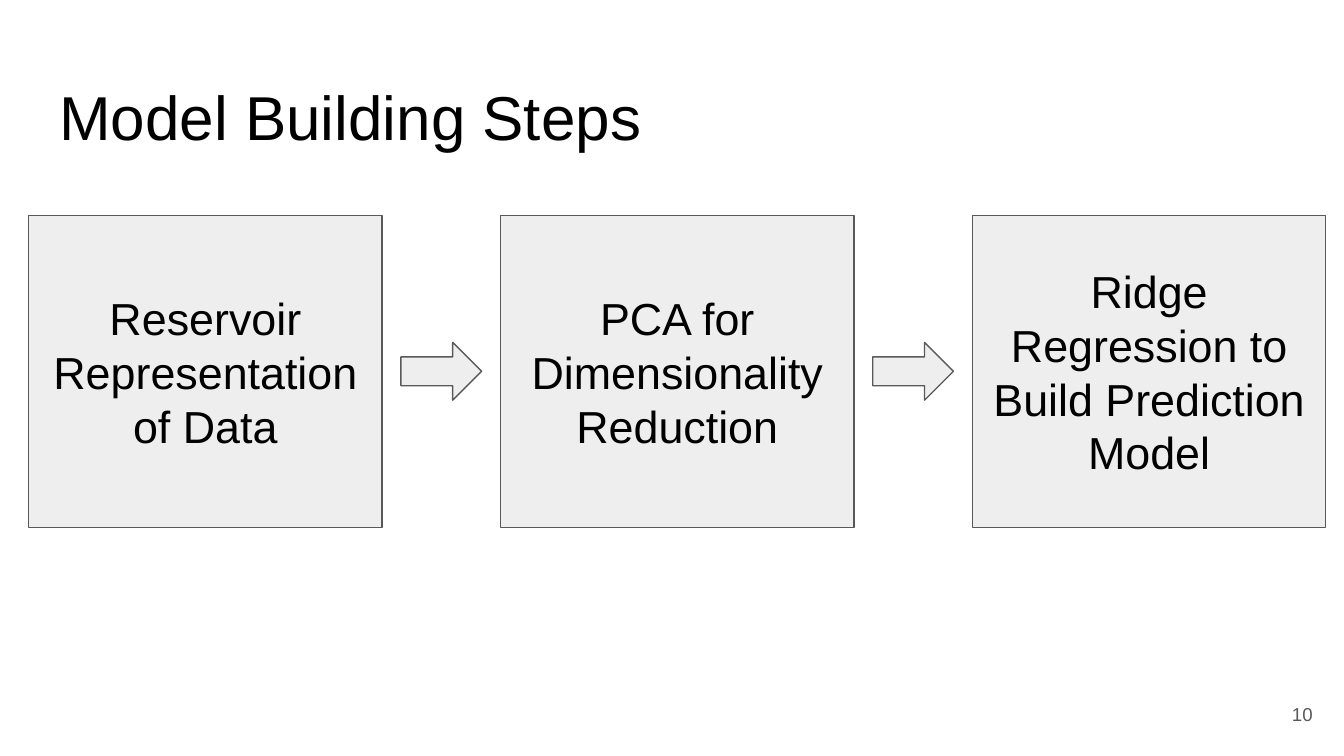
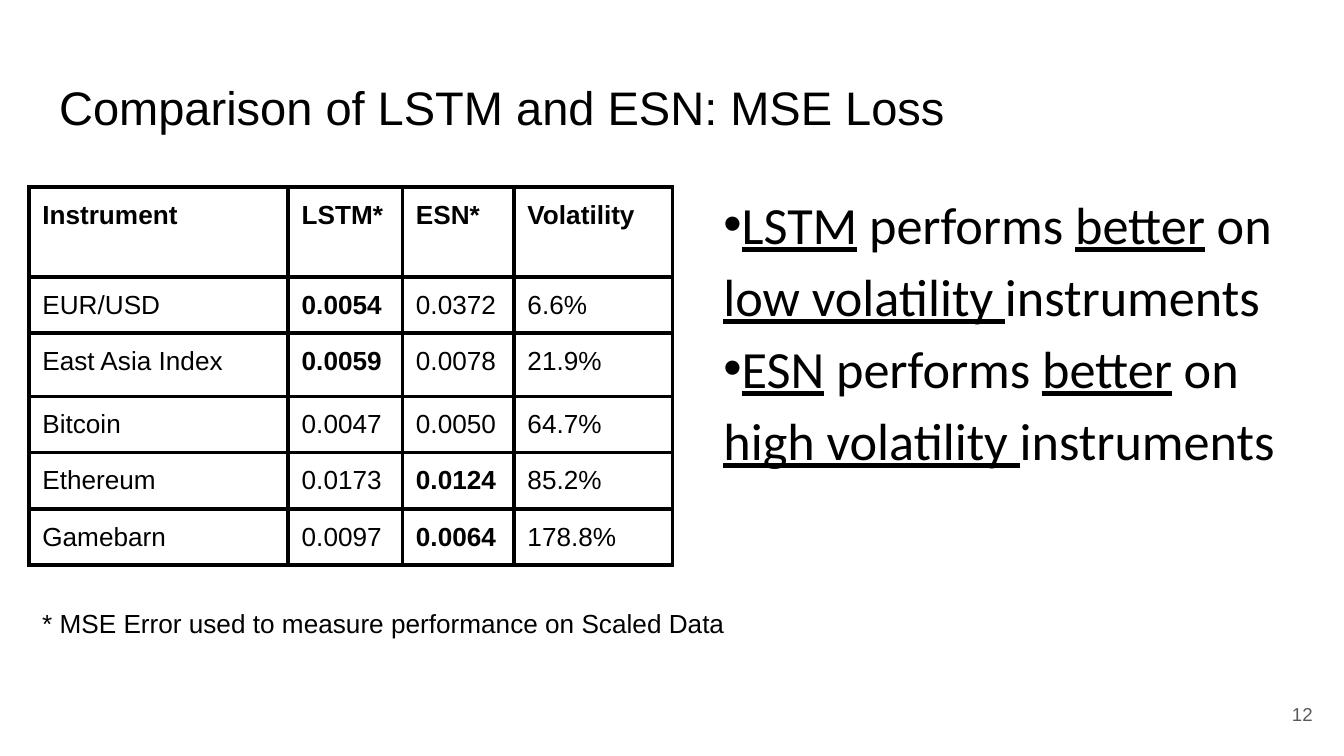
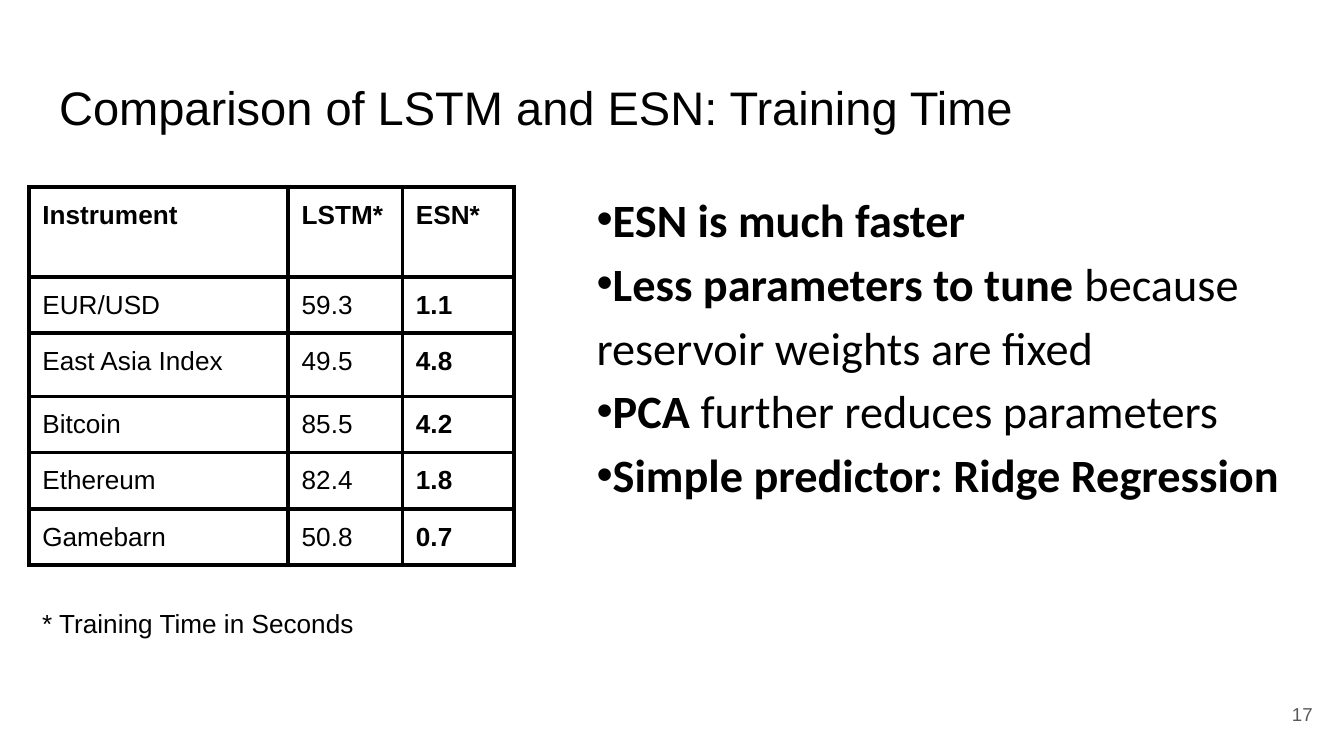
import pptx
import pptx.dml.color
import pptx.enum.shapes
import pptx.enum.text
import pptx.oxml
import pptx.oxml.ns
import pptx.util
from lxml import etree

MSO_SHAPE = pptx.enum.shapes.MSO_SHAPE
ALIGN = pptx.enum.text.PP_ALIGN
MIDDLE = pptx.enum.text.MSO_ANCHOR.MIDDLE

INK, GREY, PANEL = "000000", "595959", "EEEEEE"
BORDER_WIDTH = 2.25

deck = pptx.Presentation()
deck.slide_width = pptx.util.Inches(10)
deck.slide_height = deck.slide_width * 9 // 16
UNIT = deck.slide_width // 100  # the grid has 100 columns of square units
INSET = UNIT


def paint(target, hex_colour):
    """Give a fill or a font a solid colour."""
    if hasattr(target, "solid"):
        target.solid()
        target.fore_color.rgb = pptx.dml.color.RGBColor.from_string(hex_colour)
    else:
        target.color.rgb = pptx.dml.color.RGBColor.from_string(hex_colour)


def write(holder, lines, size, colour=INK, font="Arial", emphasis="bold",
          align=ALIGN.LEFT, anchor=None, spacing=None, bullet=None):
    """Fill a shape or cell; text between | marks gets the emphasis."""
    frame = holder.text_frame
    frame.word_wrap = True
    box = holder if hasattr(holder, "margin_top") else frame
    for side in ("left", "right", "top", "bottom"):
        setattr(box, f"margin_{side}", INSET)
    box.vertical_anchor = anchor
    for row, line in enumerate(lines):
        paragraph = frame.add_paragraph() if row else frame.paragraphs[0]
        paragraph.alignment = align
        paragraph.line_spacing = spacing
        if bullet:
            properties = paragraph._p.get_or_add_pPr()
            properties.set("marL", "0")
            properties.set("indent", "0")
            etree.SubElement(properties, pptx.oxml.ns.qn("a:buFont"), typeface="Arial")
            etree.SubElement(properties, pptx.oxml.ns.qn("a:buChar"), char=bullet)
        for part, words in enumerate(line.split("|")):
            if words:
                run = paragraph.add_run()
                run.text = words
                look = {"name": font, "size": pptx.util.Pt(size), emphasis: part % 2 == 1}
                for attribute, value in look.items():
                    setattr(run.font, attribute, value)
                paint(run.font, colour)


# Titles and page numbers
slides = []
for title, title_size, number in [
    ("Model Building Steps", 33.2, "10"),
    ("Comparison of LSTM and ESN: MSE Loss", 25.2, "12"),
    ("Comparison of LSTM and ESN: Training Time", 25.2, "17"),
]:
    slide = deck.slides.add_slide(deck.slide_layouts[6])
    heading = slide.shapes.add_textbox(*[int(n * UNIT) for n in (3.41, 4.87, 93.2, 6.3)])
    write(heading, [title], title_size)
    page = slide.shapes.add_textbox(*[int(n * UNIT) for n in (92.65, 51, 6, 4.3)])
    write(page, [number], 10, GREY, align=ALIGN.RIGHT, anchor=MIDDLE)
    slides.append(slide)

# Model building steps, with an arrow centred in each gap
STEPS = [
    "Reservoir Representation of Data",
    "PCA for Dimensionality Reduction",
    "Ridge Regression to Build Prediction Model",
]
step_left, step_top, step_width, step_height = 2.13, 16.03, 26.3, 23.2
arrow_width, arrow_height = 6, 4.3
pitch = (98.65 - step_left - step_width) / (len(STEPS) - 1)
arrow_offset = (step_width + pitch - arrow_width) / 2
arrow_top = step_top + (step_height - arrow_height) / 2

for index, step in enumerate(STEPS):
    left = step_left + index * pitch
    parts = [(MSO_SHAPE.RECTANGLE, left, step_top, step_width, step_height, step)]
    if index < len(STEPS) - 1:
        parts.append((MSO_SHAPE.RIGHT_ARROW, left + arrow_offset, arrow_top,
                      arrow_width, arrow_height, ""))
    for kind, *place, words in parts:
        block = slides[0].shapes.add_shape(kind, *[int(n * UNIT) for n in place])
        block.shadow.inherit = False
        paint(block.fill, PANEL)
        paint(block.line.fill, GREY)
        block.line.width = pptx.util.Pt(0.75)
        if words:
            write(block, [words], 24, align=ALIGN.CENTER, anchor=MIDDLE)

# Comparisons: result table, footnote and findings
COLUMN_WIDTHS = [19.3, 8.5, 8.3, 11.8]
ROW_HEIGHTS = [6.7, 4.2, 4.7, 3.9, 3.9, 3.9]
CELL_BOTTOM = 0.85
COMPARISONS = [
    {
        "results": [
            ["|Instrument|", "|LSTM*|", "|ESN*|", "|Volatility|"],
            ["EUR/USD", "|0.0054|", "0.0372", "6.6%"],
            ["East Asia Index", "|0.0059|", "0.0078", "21.9%"],
            ["Bitcoin", "0.0047", "0.0050", "64.7%"],
            ["Ethereum", "0.0173", "|0.0124|", "85.2%"],
            ["Gamebarn", "0.0097", "|0.0064|", "178.8%"],
        ],
        "footnote": "* MSE Error used to measure performance on Scaled Data",
        "findings": [
            "|LSTM| performs |better| on |low volatility |instruments",
            "|ESN| performs |better| on |high volatility |instruments",
        ],
        "place": (52.85, 12.6, 43.7, 37.4),
        "size": 28,
        "emphasis": "underline",
    },
    {
        "results": [
            ["|Instrument|", "|LSTM*|", "|ESN*|"],
            ["EUR/USD", "59.3", "|1.1|"],
            ["East Asia Index", "49.5", "|4.8|"],
            ["Bitcoin", "85.5", "|4.2|"],
            ["Ethereum", "82.4", "|1.8|"],
            ["Gamebarn", "50.8", "|0.7|"],
        ],
        "footnote": "* Training Time in Seconds",
        "findings": [
            "|ESN is much faster|",
            "|Less parameters to tune |because reservoir weights are fixed",
            "|PCA| further reduces parameters",
            "|Simple predictor: Ridge Regression|",
        ],
        "place": (43.4, 12.6, 53.2, 37.4),
        "size": 24.8,
        "emphasis": "bold",
    },
]

for slide, comparison in zip(slides[1:], COMPARISONS):
    findings = slide.shapes.add_textbox(*[int(n * UNIT) for n in comparison["place"]])
    write(findings, comparison["findings"], comparison["size"], font="Calibri",
          emphasis=comparison["emphasis"], spacing=1.15, bullet="•")

    results = comparison["results"]
    widths = COLUMN_WIDTHS[:len(results[0])]
    place = (2.15, 13.9, sum(widths), sum(ROW_HEIGHTS))
    table = slide.shapes.add_table(len(results), len(widths),
                                   *[int(n * UNIT) for n in place]).table
    for column, width in zip(table.columns, widths):
        column.width = int(width * UNIT)
    for row, height, values in zip(table.rows, ROW_HEIGHTS, results):
        row.height = int(height * UNIT)
        for cell, value in zip(row.cells, values):
            write(cell, [value], 14)
            cell.margin_bottom = int(CELL_BOTTOM * UNIT)
            cell.fill.background()
            properties = cell._tc.get_or_add_tcPr()
            for order, edge in enumerate(("lnL", "lnR", "lnT", "lnB")):
                properties.insert(order, pptx.oxml.parse_xml(
                    f'<a:{edge} {pptx.oxml.ns.nsdecls("a")} w="{pptx.util.Pt(BORDER_WIDTH)}">'
                    f'<a:solidFill><a:srgbClr val="{INK}"/></a:solidFill></a:{edge}>'))

    footnote = slide.shapes.add_textbox(*[int(n * UNIT) for n in (2.15, 44.2, 53.2, 4.4)])
    write(footnote, [comparison["footnote"]], 14)

deck.save("out.pptx")
